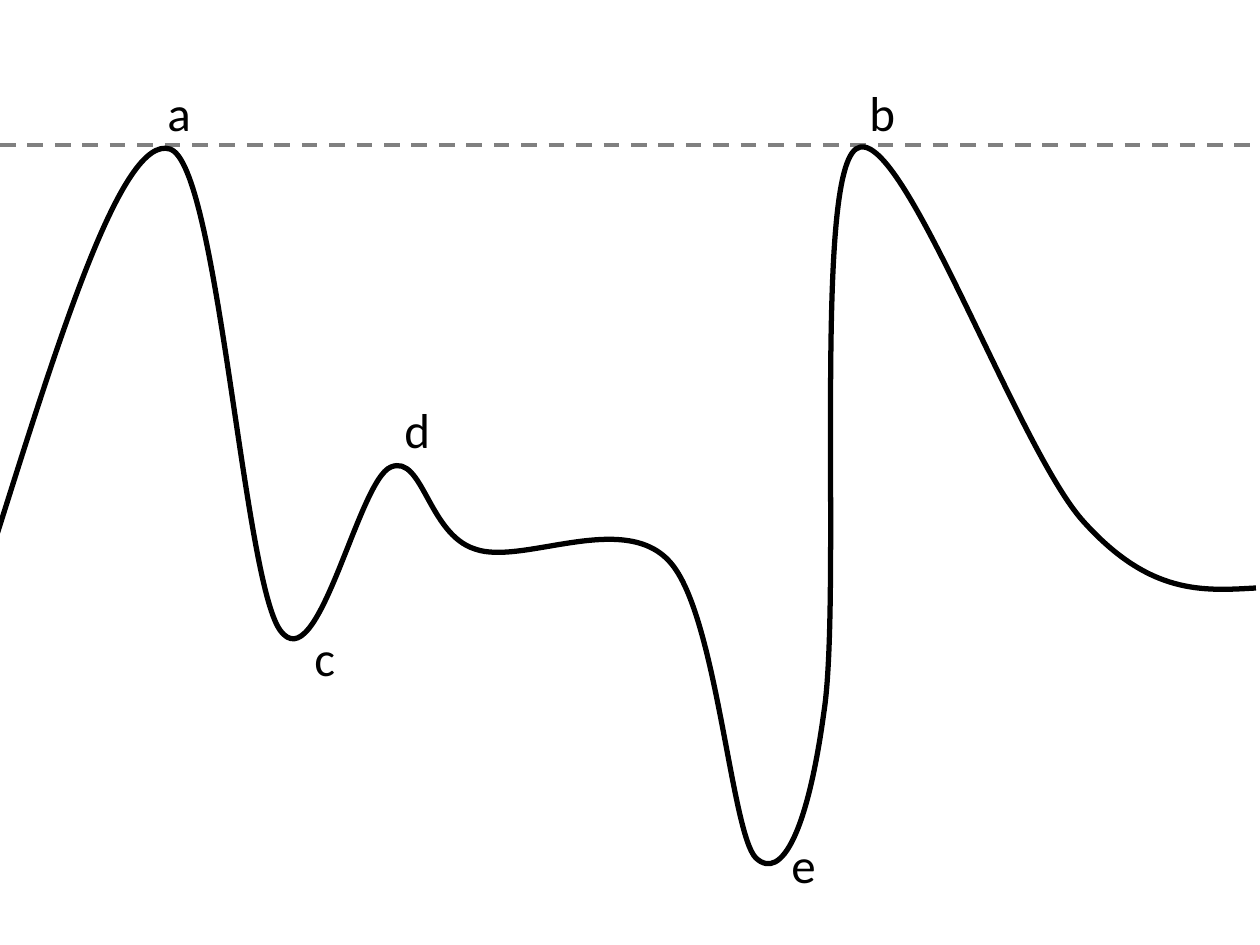
from lxml import etree
from pptx import Presentation, util as u
from pptx.dml.color import RGBColor
from pptx.enum import dml, shapes, text
from pptx.oxml.ns import qn

# Content, in pixels
WIDTH, HEIGHT = 1260, 945
PX = u.Inches(10) / WIDTH
BLACK = RGBColor(0x00, 0x00, 0x00)
GRAY = RGBColor(0x80, 0x80, 0x80)
LEVEL_Y = 145
LABEL_HEIGHT = 72
LABELS = [  # letter, left, top, width
    ("a", 155, 76, 49),
    ("b", 857, 76, 52),
    ("c", 302, 621, 47),
    ("d", 392, 393, 52),
    ("e", 779, 828, 50),
]
CURVE_START = (-5, 541)
CURVE = [  # two control points and the end of each piece
    ((59, 338), (122, 134), (170, 149)),
    ((218, 164), (243, 577), (280, 630)),
    ((318, 683), (358, 480), (391, 467)),
    ((423, 454), (428, 534), (475, 549)),
    ((522, 566), (624, 510), (670, 562)),
    ((717, 614), (731, 833), (756, 858)),
    ((782, 882), (808, 830), (824, 712)),
    ((842, 595), (813, 180), (856, 149)),
    ((900, 117), (1017, 449), (1084, 522)),
    ((1150, 595), (1203, 591), (1256, 588)),
]


def px(n):
    return u.Emu(round(n * PX))


prs = Presentation()
prs.slide_width, prs.slide_height = px(WIDTH), px(HEIGHT)
s = prs.slides.add_slide(prs.slide_layouts[6])

# Dashed level line
level = s.shapes.add_connector(shapes.MSO_CONNECTOR.STRAIGHT,
                               0, px(LEVEL_Y), px(WIDTH), px(LEVEL_Y))
level.line.color.rgb = GRAY
level.line.width = u.Pt(2.25)
level.line.dash_style = dml.MSO_LINE.DASH
etree.SubElement(level._element.spPr, qn("a:effectLst"))

# Curve: straight pieces between the ends, each then bent into a Bezier
ends = [piece[-1] for piece in CURVE]
left = min(x for x, y in [CURVE_START] + ends)
top = min(y for x, y in [CURVE_START] + ends)
builder = s.shapes.build_freeform(*CURVE_START, scale=PX)
builder.add_line_segments(ends, close=False)
curve = builder.convert_to_shape()
for straight, piece in zip(list(curve._element.iter(qn("a:lnTo"))), CURVE):
    bezier = etree.Element(qn("a:cubicBezTo"))
    for x, y in piece:
        etree.SubElement(bezier, qn("a:pt"), x=str(x - left), y=str(y - top))
    straight.getparent().replace(straight, bezier)
curve.fill.background()
curve.line.color.rgb = BLACK
curve.line.width = u.Pt(3)
curve.shadow.inherit = False

# Letters at the turning points
for letter, x, y, width in LABELS:
    tf = s.shapes.add_textbox(px(x), px(y), px(width), px(LABEL_HEIGHT)).text_frame
    tf.word_wrap = False
    tf.auto_size = text.MSO_AUTO_SIZE.SHAPE_TO_FIT_TEXT
    p = tf.paragraphs[0]
    p.text = letter
    p.font.name = "Calibri"
    p.font.size = u.Pt(28)
    p.font.color.rgb = BLACK

prs.save("out.pptx")
